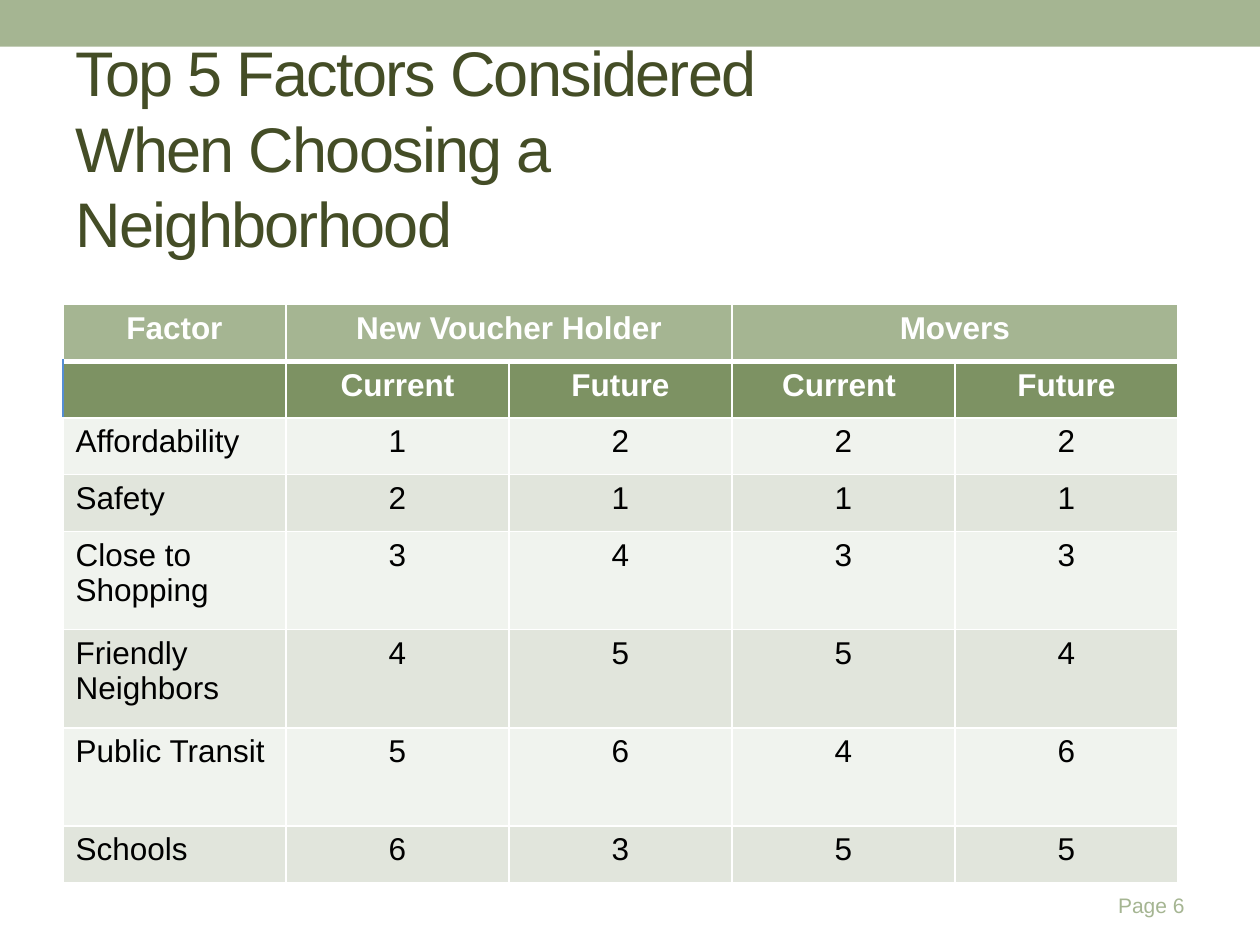
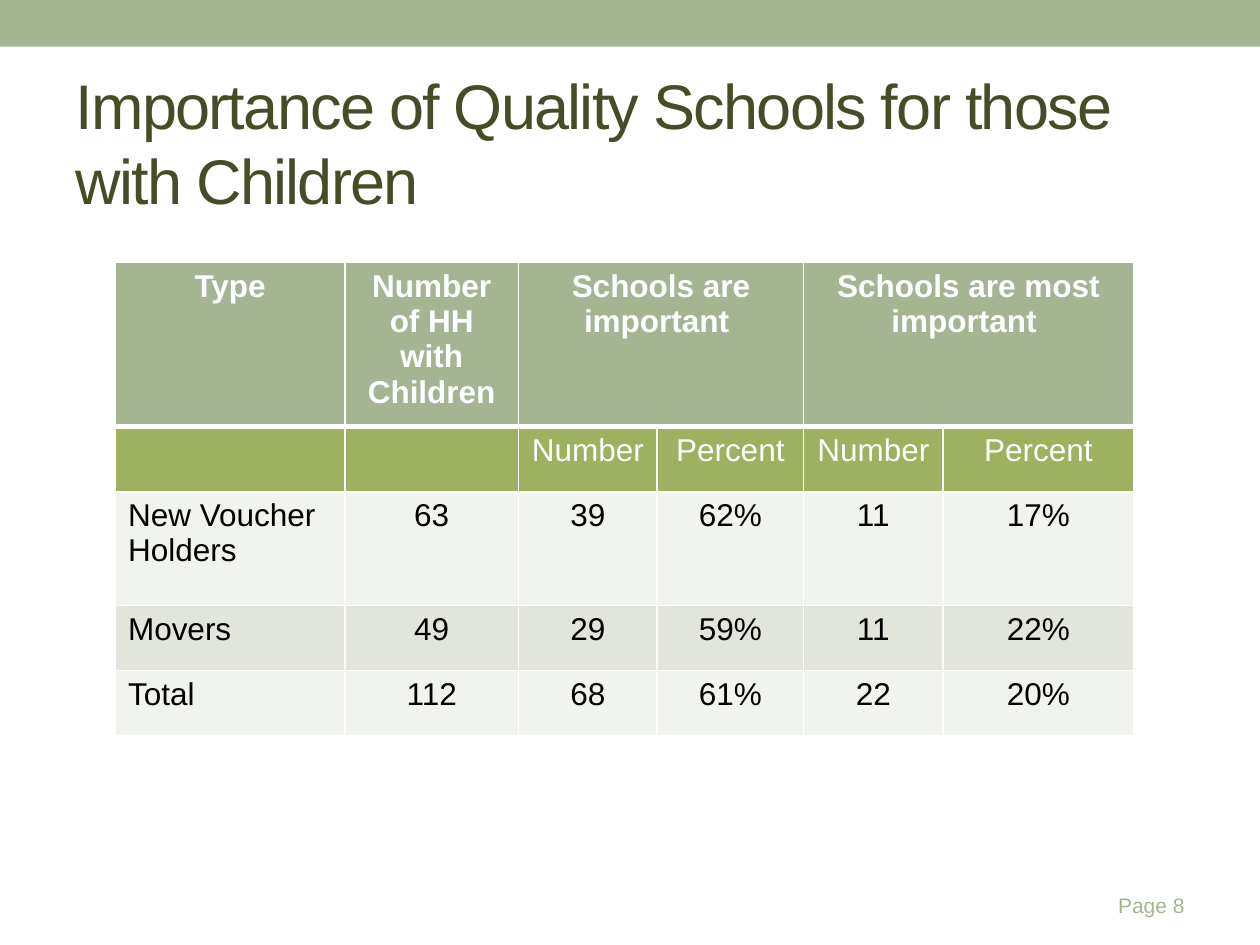
from lxml.etree import SubElement
from pptx import Presentation
from pptx.dml.color import RGBColor
from pptx.enum.shapes import MSO_SHAPE
from pptx.enum.text import MSO_ANCHOR, MSO_AUTO_SIZE, PP_ALIGN
from pptx.oxml.ns import qn
from pptx.util import Inches, Pt

SAGE = RGBColor(0xA5, 0xB5, 0x92)
MOSS = RGBColor(0x7D, 0x92, 0x63)
OLIVE = RGBColor(0x9E, 0xB1, 0x60)
DARK_GREEN = RGBColor(0x44, 0x4D, 0x26)
PALE = RGBColor(0xF0, 0xF3, 0xEE)
MIST = RGBColor(0xE1, 0xE5, 0xDC)
BLUE = RGBColor(0x55, 0x8E, 0xD5)
WHITE = RGBColor(0xFF, 0xFF, 0xFF)
BLACK = RGBColor(0x00, 0x00, 0x00)
FONT = "Arial"

SLIDES = [
    {
        "page": 6,
        "title": "Top 5 Factors Considered When Choosing a Neighborhood",
        "title_box": (6, 2, 76, 24),
        "table_box": (6, 29, 106, 55),
        "column_widths": [1.77] * 5,
        "row_heights": [0.45] * 4 + [0.78] * 3 + [0.45],
        "merged_from": (1, 3),
        "subheader": MOSS,
        "subheader_bold": True,
        "subheader_edge": BLUE,
        "rows": [
            ("Factor", "New Voucher Holder", "", "Movers", ""),
            ("", "Current", "Future", "Current ", "Future"),
            ("Affordability", "1", "2", "2", "2"),
            ("Safety", "2", "1", "1", "1"),
            ("Close to Shopping", "3", "4", "3", "3"),
            ("Friendly Neighbors", "4", "5", "5", "4"),
            ("Public Transit", "5", "6", "4", "6"),
            ("Schools", "6", "3", "5", "5"),
        ],
    },
    {
        "page": 8,
        "title": "Importance of Quality Schools for those with Children",
        "title_box": (6, 7, 108, 13),
        "table_box": (11, 25, 97, 45),
        "column_widths": [1.82, 1.38, 1.1, 1.16, 1.11, 1.51],
        "row_heights": [1.29, 0.52, 0.9, 0.52, 0.52],
        "merged_from": (2, 4),
        "subheader": OLIVE,
        "subheader_bold": False,
        "subheader_edge": WHITE,
        "rows": [
            ("Type", "Number of HH with Children", "Schools are important ", "",
             "Schools are most important ", ""),
            ("", "", "Number", "Percent", "Number", "Percent"),
            ("New Voucher Holders", "63", "39", "62%", "11", "17%"),
            ("Movers", "49", "29", "59%", "11", "22%"),
            ("Total", "112", "68", "61%", "22", "20%"),
        ],
    },
]

presentation = Presentation()
presentation.slide_width = Inches(10)
presentation.slide_height = Inches(7.5)
GRID = presentation.slide_width // 120


def style_text(paragraph, size, color, bold=False, alignment=PP_ALIGN.LEFT):
    paragraph.alignment = alignment
    for font in [paragraph.font] + [run.font for run in paragraph.runs]:
        font.name = FONT
        font.size = Pt(size)
        font.bold = bold
        font.color.rgb = color


def add_borders(cell, left_color, bottom_width):
    properties = cell._tc.get_or_add_tcPr()
    edges = [("a:lnL", left_color, 1), ("a:lnR", WHITE, 1),
             ("a:lnT", WHITE, 1), ("a:lnB", WHITE, bottom_width)]
    for position, (tag, color, width) in enumerate(edges):
        line = SubElement(properties, qn(tag), w=str(Pt(width)))
        fill = SubElement(line, qn("a:solidFill"))
        SubElement(fill, qn("a:srgbClr"), val=str(color))
        properties.insert(position, line)


for content in SLIDES:
    slide = presentation.slides.add_slide(presentation.slide_layouts[5])

    band = slide.shapes.add_shape(
        MSO_SHAPE.RECTANGLE, 0, Inches(-0.03), presentation.slide_width, Inches(0.4))
    band.shadow.inherit = False
    band.fill.solid()
    band.fill.fore_color.rgb = SAGE
    band.line.fill.background()

    page_box = slide.shapes.add_textbox(100 * GRID, 84 * GRID, 14 * GRID, Inches(0.36))
    page_box.text_frame.word_wrap = True
    page_box.text_frame.vertical_anchor = MSO_ANCHOR.MIDDLE
    page_box.text_frame.text = f"Page {content['page']}"
    style_text(page_box.text_frame.paragraphs[0], 12, SAGE, alignment=PP_ALIGN.RIGHT)

    title = slide.shapes.title
    title.left, title.top, title.width, title.height = [
        length * GRID for length in content["title_box"]]
    title.text_frame.text = content["title"]
    title.text_frame.auto_size = MSO_AUTO_SIZE.NONE
    title.text_frame.vertical_anchor = MSO_ANCHOR.MIDDLE
    style_text(title.text_frame.paragraphs[0], 36, DARK_GREEN)
    for run in title.text_frame.paragraphs[0].runs:
        run.font._element.set("spc", "-100")

    rows = content["rows"]
    table = slide.shapes.add_table(
        len(rows), len(rows[0]),
        *[length * GRID for length in content["table_box"]]).table
    table.horz_banding = False
    for column, width in zip(table.columns, content["column_widths"]):
        column.width = Inches(width)
    for row, height in zip(table.rows, content["row_heights"]):
        row.height = Inches(height)

    for row_index, texts in enumerate(rows):
        if row_index == 0:
            fill_color, text_color, bold = SAGE, WHITE, True
        elif row_index == 1:
            fill_color, text_color = content["subheader"], WHITE
            bold = content["subheader_bold"]
        else:
            fill_color, text_color, bold = (PALE, MIST)[row_index % 2], BLACK, False
        for column_index, text in enumerate(texts):
            cell = table.cell(row_index, column_index)
            cell.text_frame.text = text
            cell.fill.solid()
            cell.fill.fore_color.rgb = fill_color
            is_label = row_index > 1 and column_index == 0
            style_text(cell.text_frame.paragraphs[0], 18, text_color, bold,
                       PP_ALIGN.LEFT if is_label else PP_ALIGN.CENTER)
            is_edge = row_index == 1 and column_index == 0
            add_borders(cell, content["subheader_edge"] if is_edge else WHITE,
                        3 if row_index == 0 else 1)

    for column_index in content["merged_from"]:
        table.cell(0, column_index).merge(table.cell(0, column_index + 1))

presentation.save("out.pptx")
